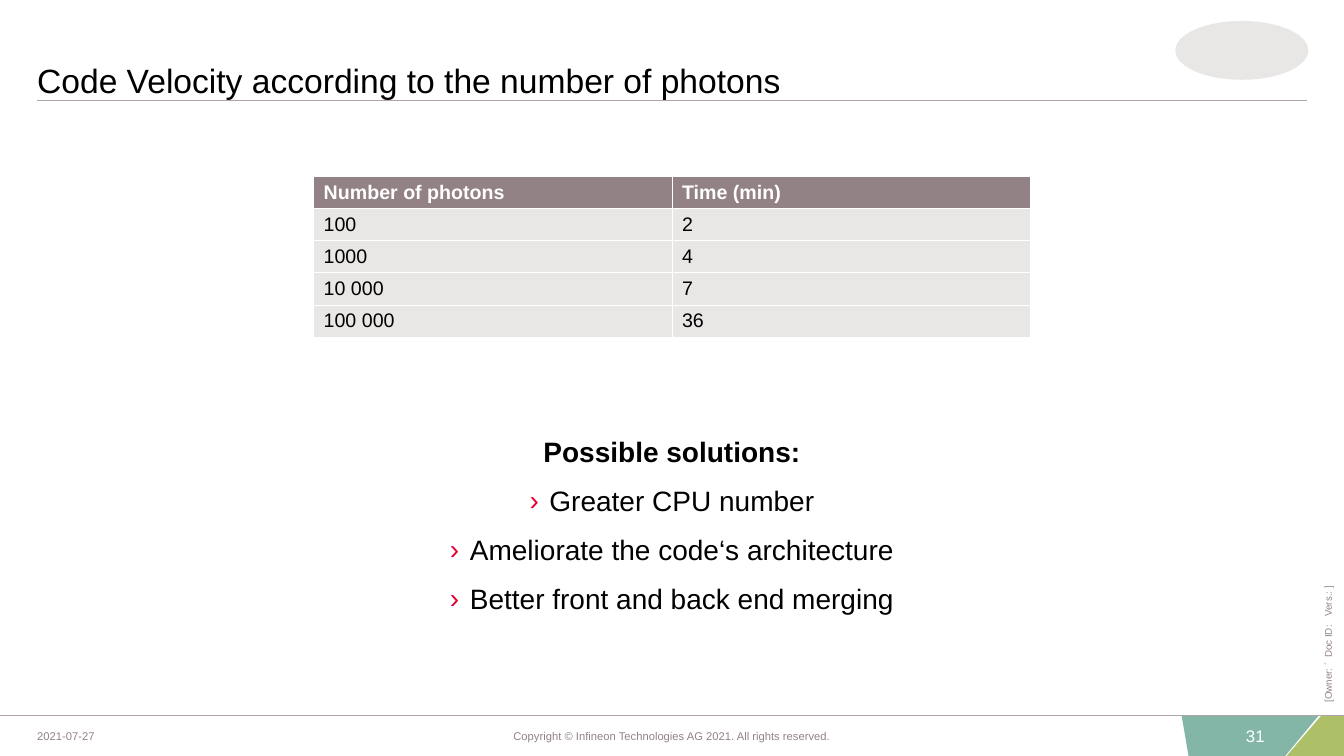
"""Build the slide on code velocity by number of photons."""
from lxml import etree
from pptx import Presentation
from pptx.dml.color import RGBColor
from pptx.enum.shapes import MSO_CONNECTOR, MSO_SHAPE
from pptx.enum.text import MSO_ANCHOR, MSO_AUTO_SIZE, PP_ALIGN
from pptx.oxml.ns import qn
from pptx.util import Pt

STRAIGHT = MSO_CONNECTOR.STRAIGHT
OVAL = MSO_SHAPE.OVAL
TOP, MIDDLE, BOTTOM = MSO_ANCHOR.TOP, MSO_ANCHOR.MIDDLE, MSO_ANCHOR.BOTTOM
LEFT, CENTER, RIGHT = PP_ALIGN.LEFT, PP_ALIGN.CENTER, PP_ALIGN.RIGHT
NO_AUTOFIT = MSO_AUTO_SIZE.NONE

BLACK = RGBColor(0x00, 0x00, 0x00)
WHITE = RGBColor(0xFF, 0xFF, 0xFF)
RED = RGBColor(0xE3, 0x00, 0x34)
TAUPE = RGBColor(0x92, 0x82, 0x85)
RULE_GREY = RGBColor(0xB0, 0xA5, 0xA7)
ROW_GREY = RGBColor(0xE9, 0xE6, 0xE6)
TEAL = RGBColor(0x84, 0xB6, 0xA7)
OLIVE = RGBColor(0xAE, 0xC0, 0x67)

FONT = "Arial"
SLIDE_WIDTH, SLIDE_HEIGHT = 960, 540
FOOTER_TOP = 511.2
FOOTER_HEIGHT = SLIDE_HEIGHT - FOOTER_TOP
MARGIN = 26.5

TIMES = [
    ("Number of photons", "Time (min)"),
    ("100", "2"),
    ("1000", "4"),
    ("10 000", "7"),
    ("100 000", "36"),
]
SOLUTIONS = [
    "Greater CPU number",
    "Ameliorate the code‘s architecture",
    "Better front and back end merging",
]


def set_font(paragraph, size, color, bold=False):
    """Set the font of a whole paragraph."""
    font = paragraph.font
    font.name, font.size, font.bold = FONT, Pt(size), bold
    font.color.rgb = color


def set_frame(frame, anchor, bottom=0):
    """Give a text frame its anchor and flush margins."""
    frame.word_wrap = True
    frame.auto_size = NO_AUTOFIT
    frame.vertical_anchor = anchor
    frame.margin_left = frame.margin_right = frame.margin_top = 0
    frame.margin_bottom = Pt(bottom)


def add_panel(slide, corners, color):
    """Draw a filled polygon through the corners."""
    builder = slide.shapes.build_freeform(*corners[0], scale=Pt(1))
    builder.add_line_segments(corners[1:], close=True)
    panel = builder.convert_to_shape()
    panel.shadow.inherit = False
    panel.fill.solid()
    panel.fill.fore_color.rgb = color
    panel.line.fill.background()


def add_rule(slide, left, right, y):
    """Draw a thin horizontal line."""
    rule = slide.shapes.add_connector(STRAIGHT, Pt(left), Pt(y), Pt(right), Pt(y))
    rule.line.color.rgb = RULE_GREY
    rule.line.width = Pt(0.75)
    etree.SubElement(rule._element.spPr, qn("a:effectLst"))


def add_emblem(slide):
    """Draw a plain oval in the top right corner."""
    emblem = slide.shapes.add_shape(OVAL, Pt(839.5), Pt(15), Pt(95), Pt(42))
    emblem.shadow.inherit = False
    emblem.fill.solid()
    emblem.fill.fore_color.rgb = ROW_GREY
    emblem.line.fill.background()


def add_label(slide, text, box, size, color, align=LEFT, rotation=0, tabs=()):
    """Add a one-line label, with optional rotation and tab stops."""
    label = slide.shapes.add_textbox(*map(Pt, box))
    label.rotation = rotation
    set_frame(label.text_frame, MIDDLE)
    paragraph = label.text_frame.paragraphs[0]
    paragraph.text = text
    paragraph.alignment = align
    if tabs:
        stops = etree.SubElement(paragraph._p.get_or_add_pPr(), qn("a:tabLst"))
        for position in tabs:
            etree.SubElement(stops, qn("a:tab"), pos=str(Pt(position)), algn="l")
    set_font(paragraph, size, color)


def set_title(slide, text):
    """Place and format the title placeholder."""
    title = slide.shapes.title
    title.left, title.top, title.width, title.height = map(Pt, (MARGIN, 15, 757, 57))
    set_frame(title.text_frame, BOTTOM, bottom=0.7)
    paragraph = title.text_frame.paragraphs[0]
    paragraph.text = text
    paragraph.alignment = LEFT
    set_font(paragraph, 24, BLACK)


def add_borders(cell):
    """Give a cell thin white borders."""
    properties = cell._tc.get_or_add_tcPr()
    for side in ("lnL", "lnR", "lnT", "lnB"):
        border = etree.SubElement(properties, qn(f"a:{side}"), w=str(Pt(0.75)))
        fill = etree.SubElement(border, qn("a:solidFill"))
        etree.SubElement(fill, qn("a:srgbClr"), val=str(WHITE))


def add_times_table(slide):
    """Add the table of run times."""
    row_height = 23
    frame = slide.shapes.add_table(
        len(TIMES), 2, Pt(224), Pt(126), Pt(512), Pt(row_height * len(TIMES))
    )
    table = frame.table
    for r, values in enumerate(TIMES):
        header = r == 0
        table.rows[r].height = Pt(row_height)
        for c, value in enumerate(values):
            cell = table.cell(r, c)
            cell.text = value
            add_borders(cell)
            cell.fill.solid()
            cell.fill.fore_color.rgb = TAUPE if header else ROW_GREY
            color = WHITE if header else BLACK
            set_font(cell.text_frame.paragraphs[0], 14, color, header)


def add_bullet(paragraph):
    """Give a paragraph a red angle bullet."""
    properties = paragraph._p.get_or_add_pPr()
    color = etree.SubElement(properties, qn("a:buClr"))
    etree.SubElement(color, qn("a:srgbClr"), val=str(RED))
    etree.SubElement(properties, qn("a:buFont"), typeface=FONT)
    etree.SubElement(properties, qn("a:buChar"), char="›")


def add_solutions(slide):
    """Add the heading and the centred list of solutions."""
    box = slide.shapes.add_textbox(Pt(260.5), Pt(310.5), Pt(439), Pt(193))
    frame = box.text_frame
    set_frame(frame, TOP)
    heading = frame.paragraphs[0]
    heading.text = "Possible solutions:"
    for solution in SOLUTIONS:
        paragraph = frame.add_paragraph()
        paragraph.text = solution
        paragraph.space_before = Pt(8)
    for paragraph in frame.paragraphs:
        is_heading = paragraph.text == heading.text
        paragraph.alignment = CENTER
        paragraph.space_after = Pt(3)
        properties = paragraph._p.get_or_add_pPr()
        properties.set("marL", str(Pt(14.2)))
        properties.set("indent", str(Pt(-14.2)))
        if not is_heading:
            add_bullet(paragraph)
        set_font(paragraph, 20, BLACK, is_heading)


def main():
    """Build the slide and save it."""
    deck = Presentation()
    deck.slide_width, deck.slide_height = Pt(SLIDE_WIDTH), Pt(SLIDE_HEIGHT)
    slide = deck.slides.add_slide(deck.slide_layouts[5])
    top, bottom = FOOTER_TOP, SLIDE_HEIGHT
    add_panel(slide, [(943.6, top), (960, top), (960, bottom), (919.2, bottom)], OLIVE)
    add_panel(slide, [(844, top), (942.2, top), (917.8, bottom), (848.6, bottom)], TEAL)
    add_rule(slide, 0, SLIDE_WIDTH, FOOTER_TOP)
    add_rule(slide, MARGIN, 933.5, 71.5)
    add_emblem(slide)
    add_label(slide, "31", (873, top, 30.3, FOOTER_HEIGHT), 12, WHITE, RIGHT)
    add_label(slide, "[Owner: ´\tDoc ID:\tVers.: ]", (846.7, 390.2, 203.8, 19.4),
              7, TAUPE, rotation=270, tabs=(32, 61.5))
    add_label(slide, "Copyright © Infineon Technologies AG 2021. All rights reserved.",
              (340, top, 280, FOOTER_HEIGHT), 8, TAUPE, CENTER)
    add_label(slide, "2021-07-27", (MARGIN, top, 60, FOOTER_HEIGHT), 8, TAUPE)
    set_title(slide, "Code Velocity according to the number of photons")
    add_times_table(slide)
    add_solutions(slide)
    deck.save("out.pptx")


if __name__ == "__main__":
    main()
